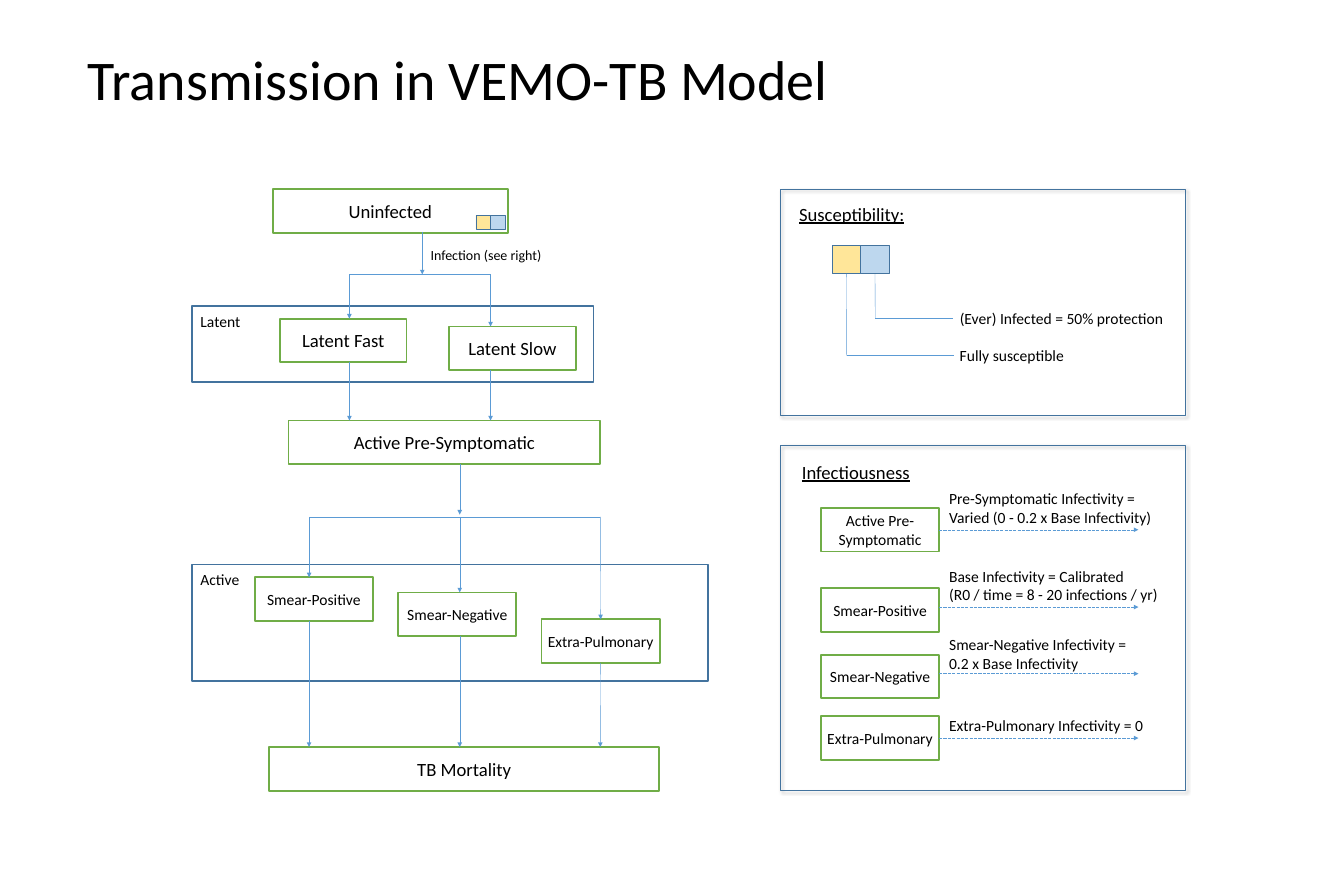
from dataclasses import dataclass

from lxml import etree
from pptx import Presentation
from pptx.dml.color import RGBColor
from pptx.enum.dml import MSO_LINE
from pptx.enum.shapes import MSO_CONNECTOR, MSO_SHAPE
from pptx.enum.text import MSO_ANCHOR, MSO_AUTO_SIZE, PP_ALIGN
from pptx.oxml.ns import qn
from pptx.shapes.autoshape import Shape
from pptx.shapes.shapetree import SlideShapes
from pptx.text.text import TextFrame
from pptx.util import Inches, Pt

RECT, STRAIGHT, DASH = MSO_SHAPE.RECTANGLE, MSO_CONNECTOR.STRAIGHT, MSO_LINE.LONG_DASH
MIDDLE, GROW = MSO_ANCHOR.MIDDLE, MSO_AUTO_SIZE.SHAPE_TO_FIT_TEXT
LEFT, CENTER = PP_ALIGN.LEFT, PP_ALIGN.CENTER
TOP_SIDE, BOTTOM_SIDE, RIGHT_SIDE = 0, 2, 3
FONT = "Calibri"
COLORS = {
    "text": "000000", "white": "FFFFFF", "state": "70AD47", "frame": "43739E",
    "arrow": "5B9BD5", "naive": "FFE699", "immune": "BDD7EE",
}
STATE_H = 0.78


@dataclass
class Box:
    left: float
    top: float
    width: float
    height: float = STATE_H
    text: str = ""
    size: int = 20
    fill: str = "white"
    edge: str = "state"
    weight: float = 2.25


@dataclass
class Note:
    left: float
    top: float
    width: float
    height: float
    lines: tuple[str, ...]
    size: int = 20
    under: bool = False
    wrap: bool = False


@dataclass
class Link:
    """A line; source and target are a shape and the side it is joined to."""
    x1: float
    y1: float
    x2: float
    y2: float
    arrow: bool = True
    dashed: bool = False
    source: tuple[Shape, int] | None = None
    target: tuple[Shape, int] | None = None


def rgb(name: str) -> RGBColor:
    return RGBColor.from_string(COLORS[name])


def add_text(frame: TextFrame, lines: tuple[str, ...], size: int,
             align: PP_ALIGN, under: bool = False) -> None:
    for i, line in enumerate(lines):
        para = frame.add_paragraph() if i else frame.paragraphs[0]
        para.alignment = align
        run = para.add_run()
        run.text = line
        run.font.name, run.font.size = FONT, Pt(size)
        run.font.color.rgb = rgb("text")
        run.font.underline = under


def add_box(shapes: SlideShapes, box: Box) -> Shape:
    shape = shapes.add_shape(RECT, *map(Inches, (box.left, box.top, box.width, box.height)))
    shape.shadow.inherit = False
    if box.fill:
        shape.fill.solid()
        shape.fill.fore_color.rgb = rgb(box.fill)
    else:
        shape.fill.background()
    shape.line.color.rgb, shape.line.width = rgb(box.edge), Pt(box.weight)
    if box.text:
        shape.text_frame.word_wrap = True
        shape.text_frame.vertical_anchor = MIDDLE
        add_text(shape.text_frame, (box.text,), box.size, CENTER)
    return shape


def add_panel(shapes: SlideShapes, top: float, height: float) -> None:
    """Draw an unfilled frame with a soft shadow."""
    panel = add_box(shapes, Box(13.94, top, 7.22, height, fill="", edge="frame", weight=1))
    effects = panel._element.spPr.find(qn("a:effectLst"))
    outer = etree.SubElement(effects, qn("a:outerShdw"), blurRad=str(Pt(4)),
                             dist=str(Pt(3)), dir="2700000", rotWithShape="0")
    color = etree.SubElement(outer, qn("a:srgbClr"), val=COLORS["text"])
    etree.SubElement(color, qn("a:alpha"), val="40000")


def add_note(shapes: SlideShapes, note: Note) -> None:
    area = shapes.add_textbox(*map(Inches, (note.left, note.top, note.width, note.height)))
    area.text_frame.word_wrap, area.text_frame.auto_size = note.wrap, GROW
    add_text(area.text_frame, note.lines, note.size, LEFT, note.under)


def add_link(shapes: SlideShapes, link: Link) -> None:
    line = shapes.add_connector(STRAIGHT, *map(Inches, (link.x1, link.y1, link.x2, link.y2)))
    if link.source:
        line.begin_connect(*link.source)
    if link.target:
        line.end_connect(*link.target)
    line.line.color.rgb, line.line.width = rgb("arrow"), Pt(0.5)
    if link.dashed:
        line.line.dash_style = DASH
    if link.arrow:
        etree.SubElement(line.line._get_or_add_ln(), qn("a:tailEnd"), type="triangle")
    etree.SubElement(line._element.spPr, qn("a:effectLst"))


def add_pair(shapes: SlideShapes, left: float, top: float, width: float,
             height: float) -> list[Shape]:
    """Draw the two susceptibility swatches side by side."""
    return [add_box(shapes, Box(left + i * width, top, width, height,
                                fill=fill, edge="frame", weight=1))
            for i, fill in enumerate(("naive", "immune"))]


def draw_flow(shapes: SlideShapes) -> None:
    for top, width, height in ((5.46, 7.17, 1.36), (10.08, 9.21, 2.08)):
        add_box(shapes, Box(3.43, top, width, height, fill="", edge="frame"))
    for state in (
        Box(4.87, 3.38, 4.2, text="Uninfected", size=24),
        Box(5, 5.69, 2.26, text="Latent Fast", size=24),
        Box(8.02, 5.83, 2.26, text="Latent Slow", size=24),
        Box(5.15, 7.51, 5.57, text="Active Pre-Symptomatic", size=24),
        Box(4.55, 10.31, 2.11, text="Smear-Positive"),
        Box(7.11, 10.58, 2.11, text="Smear-Negative"),
        Box(4.81, 13.34, 6.96, text="TB Mortality", size=24),
    ):
        add_box(shapes, state)
    extra = add_box(shapes, Box(9.67, 11.06, 2.11, text="Extra-Pulmonary"))
    add_pair(shapes, 8.5, 3.84, 0.26, 0.25)
    add_link(shapes, Link(7.54, 4.15, 7.54, 4.9))
    add_link(shapes, Link(6.24, 4.9, 8.76, 4.9, arrow=False))
    add_link(shapes, Link(8.21, 8.29, 8.21, 9.19))
    add_link(shapes, Link(5.52, 9.23, 10.72, 9.23, arrow=False))
    for x, start, top, end, state in (
        (6.24, 4.9, 5.69, 7.51, None), (8.76, 4.9, 5.83, 7.51, None),
        (5.52, 9.23, 10.31, 13.34, None), (8.21, 9.23, 10.58, 13.34, None),
        (10.72, 9.23, 11.06, 13.34, extra),
    ):
        into, out = ((state, TOP_SIDE), (state, BOTTOM_SIDE)) if state else (None, None)
        add_link(shapes, Link(x, start, x, top, target=into))
        add_link(shapes, Link(x, top + STATE_H, x, end, source=out))
    add_note(shapes, Note(7.59, 4.35, 2.21, 0.4, ("Infection (see right)",), 18))
    add_note(shapes, Note(3.48, 5.52, 0.92, 0.44, ("Latent",)))
    add_note(shapes, Note(3.48, 10.12, 0.91, 0.44, ("Active",)))


def draw_legend(shapes: SlideShapes) -> None:
    add_panel(shapes, 3.38, 4.03)
    add_note(shapes, Note(14.17, 3.57, 3.99, 0.5, ("Susceptibility:",), 24, True, True))
    naive, immune = add_pair(shapes, 14.86, 4.38, 0.51, 0.51)
    for swatch, x, y, end, width, label in (
        (naive, 15.12, 6.35, 17.04, 2.16, "Fully susceptible"),
        (immune, 15.63, 5.69, 17.01, 3.98, "(Ever) Infected = 50% protection"),
    ):
        add_link(shapes, Link(x, 4.89, x, y, arrow=False, source=(swatch, BOTTOM_SIDE)))
        add_link(shapes, Link(x, y, end, y, arrow=False))
        add_note(shapes, Note(17.04, y - 0.22, width, 0.44, (label,), wrap=True))


def draw_rates(shapes: SlideShapes) -> None:
    add_panel(shapes, 7.96, 6.15)
    add_note(shapes, Note(14.22, 8.18, 2.15, 0.5, ("Infectiousness",), 24, True))
    for state, top, y, joined, note in (
        ("Active Pre-Symptomatic", 9.07, 9.46, True, Note(16.85, 8.68, 3.85, 0.77, (
            "Pre-Symptomatic Infectivity =", "Varied (0 - 0.2 x Base Infectivity)"))),
        ("Smear-Positive", 10.5, 10.84, False, Note(16.85, 10.07, 3.97, 0.77, (
            "Base Infectivity = Calibrated", "(R0 / time = 8 - 20 infections / yr)"))),
        ("Smear-Negative", 11.69, 12.03, False, Note(16.85, 11.29, 3.41, 0.77, (
            "Smear-Negative Infectivity =", "0.2 x Base Infectivity"))),
        ("Extra-Pulmonary", 12.79, 13.18, True, Note(16.85, 12.73, 3.85, 0.44, (
            "Extra-Pulmonary Infectivity = 0",), wrap=True)),
    ):
        box = add_box(shapes, Box(14.66, top, 2.11, text=state))
        add_link(shapes, Link(16.77, y, 20.33, y, dashed=True,
                              source=(box, RIGHT_SIDE) if joined else None))
        add_note(shapes, note)


deck = Presentation()
deck.slide_width, deck.slide_height = Inches(24), Inches(16)
board = deck.slides.add_slide(deck.slide_layouts[6]).shapes
add_note(board, Note(1.47, 0.75, 13.6, 1.31, ("Transmission in VEMO-TB Model",), 72))
for draw in (draw_flow, draw_legend, draw_rates):
    draw(board)
deck.save("out.pptx")
